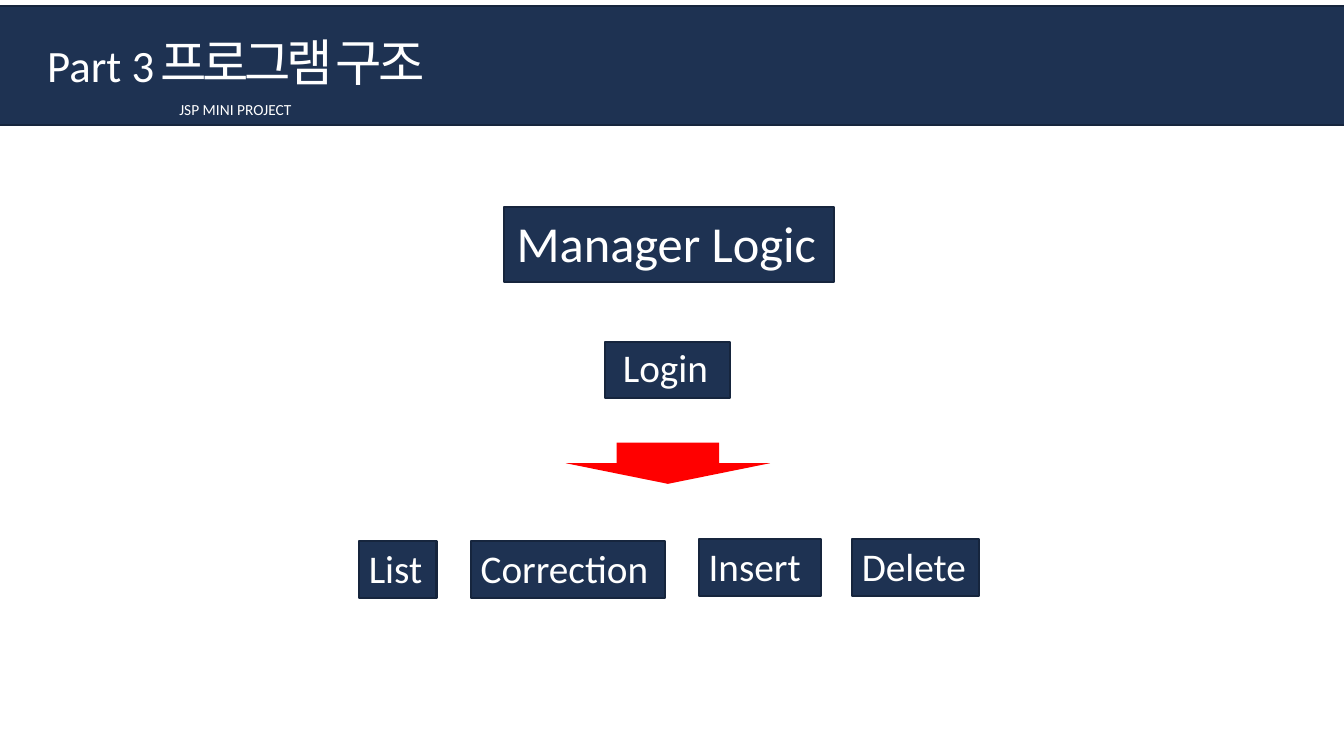
from pptx import Presentation
from pptx.dml.color import RGBColor
from pptx.enum.shapes import MSO_SHAPE
from pptx.enum.text import MSO_AUTO_SIZE, PP_ALIGN
from pptx.util import Pt

PX = 9144  # EMU per px, 100 px to the inch
NAVY = RGBColor(0x1E, 0x32, 0x52)
EDGE = RGBColor(0x16, 0x25, 0x3D)
RED = RGBColor(0xFF, 0x00, 0x00)
WHITE = RGBColor(0xFF, 0xFF, 0xFF)
RECT, DOWN_ARROW = MSO_SHAPE.RECTANGLE, MSO_SHAPE.DOWN_ARROW
LEFT, CENTER = PP_ALIGN.LEFT, PP_ALIGN.CENTER
GROW = MSO_AUTO_SIZE.SHAPE_TO_FIT_TEXT

prs = Presentation()
prs.slide_width, prs.slide_height = 1333 * PX, 750 * PX
s = prs.slides.add_slide(prs.slide_layouts[6])


def add_block(box, kind=RECT, fill=NAVY, edge=EDGE):
    sp = s.shapes.add_shape(kind, *(v * PX for v in box))
    sp.shadow.inherit = False
    sp.fill.solid()
    sp.fill.fore_color.rgb = fill
    if edge is None:
        sp.line.fill.background()
    else:
        sp.line.color.rgb = edge
        sp.line.width = Pt(1.5)


def add_text(text, box, size=28, align=LEFT, wrap=True, spacing=None):
    tf = s.shapes.add_textbox(*(v * PX for v in box)).text_frame
    tf.word_wrap = wrap
    tf.auto_size = GROW
    p = tf.paragraphs[0]
    p.alignment = align
    r = p.add_run()
    r.text = text
    r.font.name = "Calibri"
    r.font.size = Pt(size)
    r.font.color.rgb = WHITE
    if spacing is not None:
        r._r.get_or_add_rPr().set("spc", str(spacing))


# Header band
add_block((-40, 6, 1429, 118))
add_text("Part 3", (37, 33, 147, 64), size=32)
add_text("프로그램 구조", (149, 26, 330, 71), size=36, spacing=-300)
add_text("JSP MINI PROJECT", (168, 94, 178, 29), size=11)

# Manager logic
add_block((500, 205, 327, 75))
add_text("Manager Logic", (501, 205, 320, 71), size=36, align=CENTER, wrap=False)

# Login
add_block((600, 339, 124, 56))
add_text("Login", (608, 336, 112, 57))

# Arrow from login to the functions
add_block((561, 439, 203, 41), kind=DOWN_ARROW, fill=RED, edge=None)

# Functions: name, left, top, block width, label width
FUNCTIONS = [
    ("List", 356, 537, 77, 77),
    ("Correction", 467, 537, 193, 193),
    ("Insert", 693, 535, 121, 121),
    ("Delete", 845, 535, 126, 131),
]
for name, x, y, block_w, label_w in FUNCTIONS:
    add_block((x, y, block_w, 56))
    add_text(name, (x, y - 2, label_w, 57))

prs.save("out.pptx")
